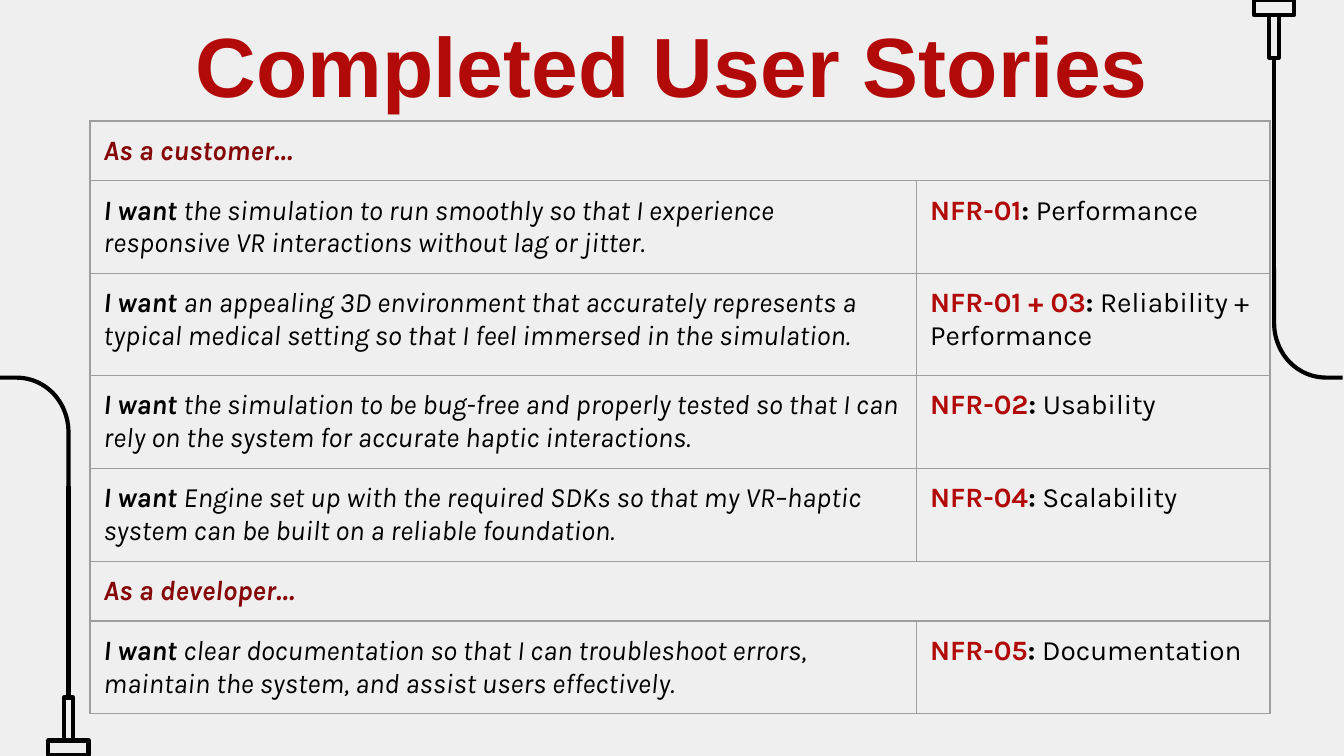
"""Build the completed user stories slide."""
from dataclasses import dataclass

from lxml.etree import SubElement
from pptx import Presentation
from pptx.dml.color import RGBColor
from pptx.enum.shapes import MSO_CONNECTOR, MSO_SHAPE
from pptx.enum.text import MSO_ANCHOR, PP_ALIGN
from pptx.oxml.ns import qn
from pptx.shapes.autoshape import Shape
from pptx.slide import Slide
from pptx.table import _Cell
from pptx.text.text import _Paragraph
from pptx.util import Inches, Pt

COLORS = {
    "background": "EFEFEF",
    "red": "B20909",
    "dark_red": "850707",
    "ink": "000000",
    "border": "9E9E9E",
}
COLUMN_WIDTHS = (6.15, 2.63)
PADDING = 0.1
HOSE_WIDTH = Pt(2.25)
TURN_X, TURN_Y = 9.99, 5.62


@dataclass(frozen=True)
class Role:
    name: str
    height: float = 0.44


@dataclass(frozen=True)
class Story:
    wish: str
    code: str
    quality: str
    height: float = 0.68


ROWS: tuple[Role | Story, ...] = (
    Role("As a customer…"),
    Story("the simulation to run smoothly so that I experience responsive VR "
          "interactions without lag or jitter.", "NFR-01", "Performance"),
    Story("an appealing 3D environment that accurately represents a typical medical "
          "setting so that I feel immersed in the simulation.",
          "NFR-01 + 03", "Reliability + Performance", 0.76),
    Story("the simulation to be bug-free and properly tested so that I can rely on "
          "the system for accurate haptic interactions.", "NFR-02", "Usability"),
    Story("Engine set up with the required SDKs so that my VR–haptic system can be "
          "built on a reliable foundation.", "NFR-04", "Scalability"),
    Role("As a developer…"),
    Story("clear documentation so that I can troubleshoot errors, maintain the "
          "system, and assist users effectively.", "NFR-05", "Documentation"),
)


def rgb(name: str) -> RGBColor:
    return RGBColor.from_string(COLORS[name])


def add_run(paragraph: _Paragraph, text: str, color: str, bold: bool, italic: bool,
            size: float = 15, face: str = "Karla") -> None:
    run = paragraph.add_run()
    run.text = text
    run.font.name, run.font.size = face, Pt(size)
    run.font.bold, run.font.italic = bold, italic
    run.font.color.rgb = rgb(color)


def style_cell(cell: _Cell) -> None:
    cell.margin_left = cell.margin_right = Inches(PADDING)
    cell.margin_top = cell.margin_bottom = Inches(PADDING)
    properties = cell._tc.get_or_add_tcPr()
    for side in ("a:lnL", "a:lnR", "a:lnT", "a:lnB"):
        border = SubElement(properties, qn(side), w=str(Pt(0.75)))
        fill = SubElement(border, qn("a:solidFill"))
        SubElement(fill, qn("a:srgbClr"), val=COLORS["border"])
    cell.fill.background()


def add_stories(slide: Slide) -> None:
    height = sum(row.height for row in ROWS)
    frame = slide.shapes.add_table(len(ROWS), len(COLUMN_WIDTHS), Inches(0.67), Inches(0.9),
                                   Inches(sum(COLUMN_WIDTHS)), Inches(height))
    stories = frame.table
    stories.first_row = stories.horz_banding = False
    for column, width in zip(stories.columns, COLUMN_WIDTHS):
        column.width = Inches(width)
    for index, row in enumerate(ROWS):
        stories.rows[index].height = Inches(row.height)
        left, right = stories.cell(index, 0), stories.cell(index, 1)
        style_cell(left)
        style_cell(right)
        wish = left.text_frame.paragraphs[0]
        if isinstance(row, Role):
            left.merge(right)
            add_run(wish, row.name, "dark_red", True, True)
            continue
        add_run(wish, "I want ", "ink", True, True)
        add_run(wish, row.wish, "ink", False, True)
        requirement = right.text_frame.paragraphs[0]
        add_run(requirement, row.code, "red", True, False)
        add_run(requirement, ":", "ink", True, False)
        add_run(requirement, f" {row.quality}", "ink", False, False)


def outline(shape: Shape) -> None:
    shape.fill.background()
    shape.line.color.rgb = rgb("ink")
    shape.line.width = HOSE_WIDTH
    shape.shadow.inherit = False


def add_hose(slide: Slide, turned: bool) -> None:
    axis = 9.48

    def place(x: float, y: float) -> tuple[int, int]:
        if turned:
            x, y = TURN_X - x, TURN_Y - y
        return Inches(x), Inches(y)

    for top, width, height in ((0, 0.3, 0.11), (0.11, 0.07, 0.32)):
        left = axis - width / 2
        corner = place(left + width, top + height) if turned else place(left, top)
        neck = slide.shapes.add_shape(MSO_SHAPE.RECTANGLE, *corner, Inches(width), Inches(height))
        outline(neck)

    controls = ((axis, 2.4), (axis, 2.63), (9.65, 2.81), (9.87, 2.81))
    bend = []
    for step in range(25):
        t = step / 24
        weights = ((1 - t) ** 3, 3 * t * (1 - t) ** 2, 3 * t * t * (1 - t), t ** 3)
        bend.append(place(*(sum(w * point[i] for w, point in zip(weights, controls))
                            for i in (0, 1))))
    start = place(axis, 2)
    builder = slide.shapes.build_freeform(*start)
    builder.add_line_segments([*bend, place(TURN_X, 2.81)], close=False)
    outline(builder.convert_to_shape())

    straight = slide.shapes.add_connector(MSO_CONNECTOR.STRAIGHT, *start, *place(axis, 0.43))
    straight.end_connect(neck, 0 if turned else 2)
    straight.line.color.rgb = rgb("ink")
    straight.line.width = HOSE_WIDTH
    SubElement(straight._element.spPr, qn("a:effectLst"))


def add_title(slide: Slide) -> None:
    title = slide.shapes.title
    title.left, title.top = Inches(0.78), Inches(0)
    title.width, title.height = Inches(8.44), Inches(0.9)
    heading = title.text_frame
    heading.margin_left = heading.margin_right = Inches(PADDING)
    heading.margin_top = heading.margin_bottom = Inches(PADDING)
    heading.vertical_anchor = MSO_ANCHOR.TOP
    heading.word_wrap = True
    paragraph = heading.paragraphs[0]
    paragraph.alignment = PP_ALIGN.CENTER
    paragraph.line_spacing = 1.0
    add_run(paragraph, "Completed User Stories", "red", True, False, 45, "Arial")


def main() -> None:
    deck = Presentation()
    deck.slide_width = Inches(10)
    deck.slide_height = deck.slide_width * 9 // 16
    slide = deck.slides.add_slide(deck.slide_layouts[5])
    slide.background.fill.solid()
    slide.background.fill.fore_color.rgb = rgb("background")
    for turned in (True, False):
        add_hose(slide, turned)
    add_stories(slide)
    add_title(slide)
    deck.save("out.pptx")


if __name__ == "__main__":
    main()
